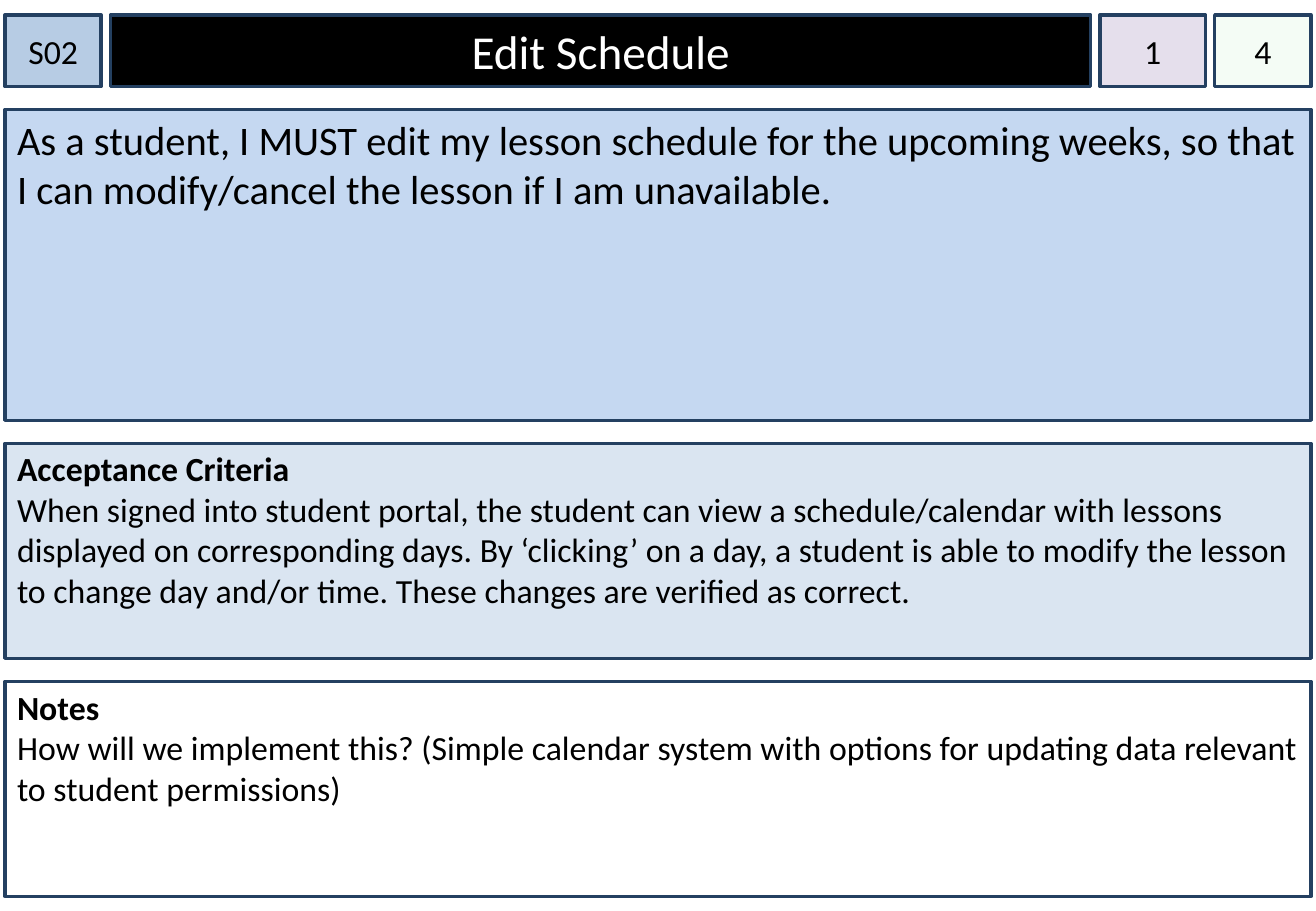
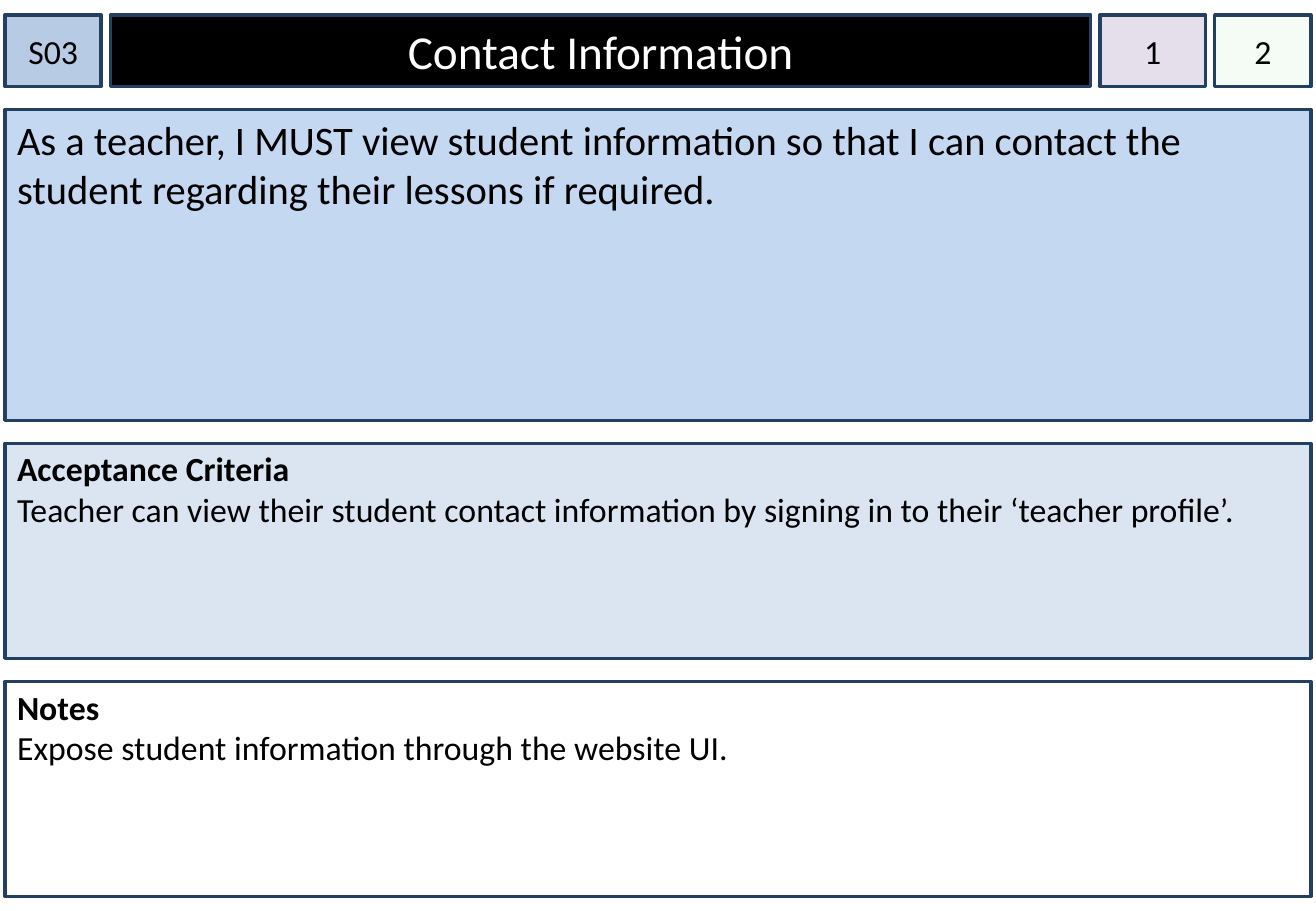
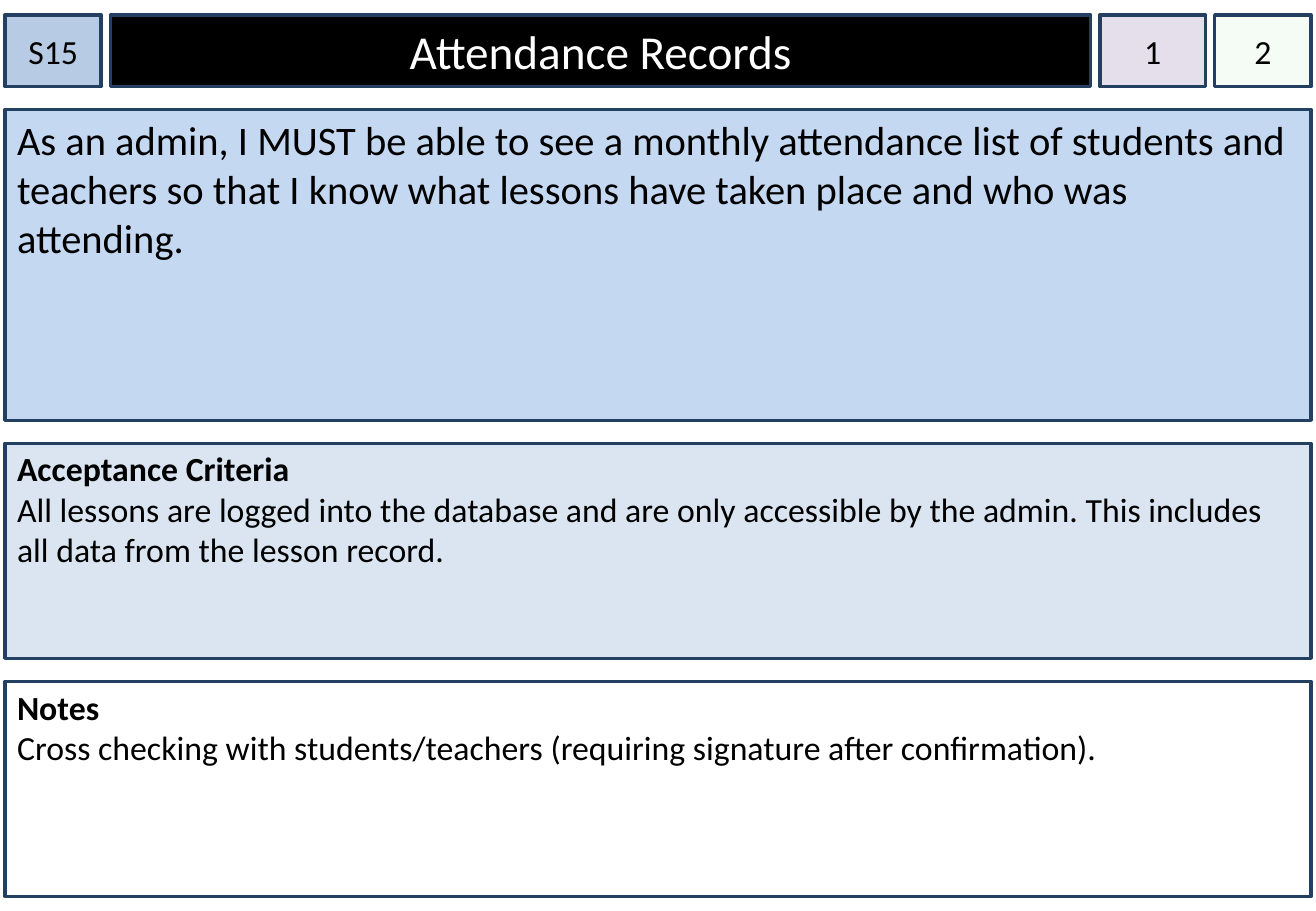
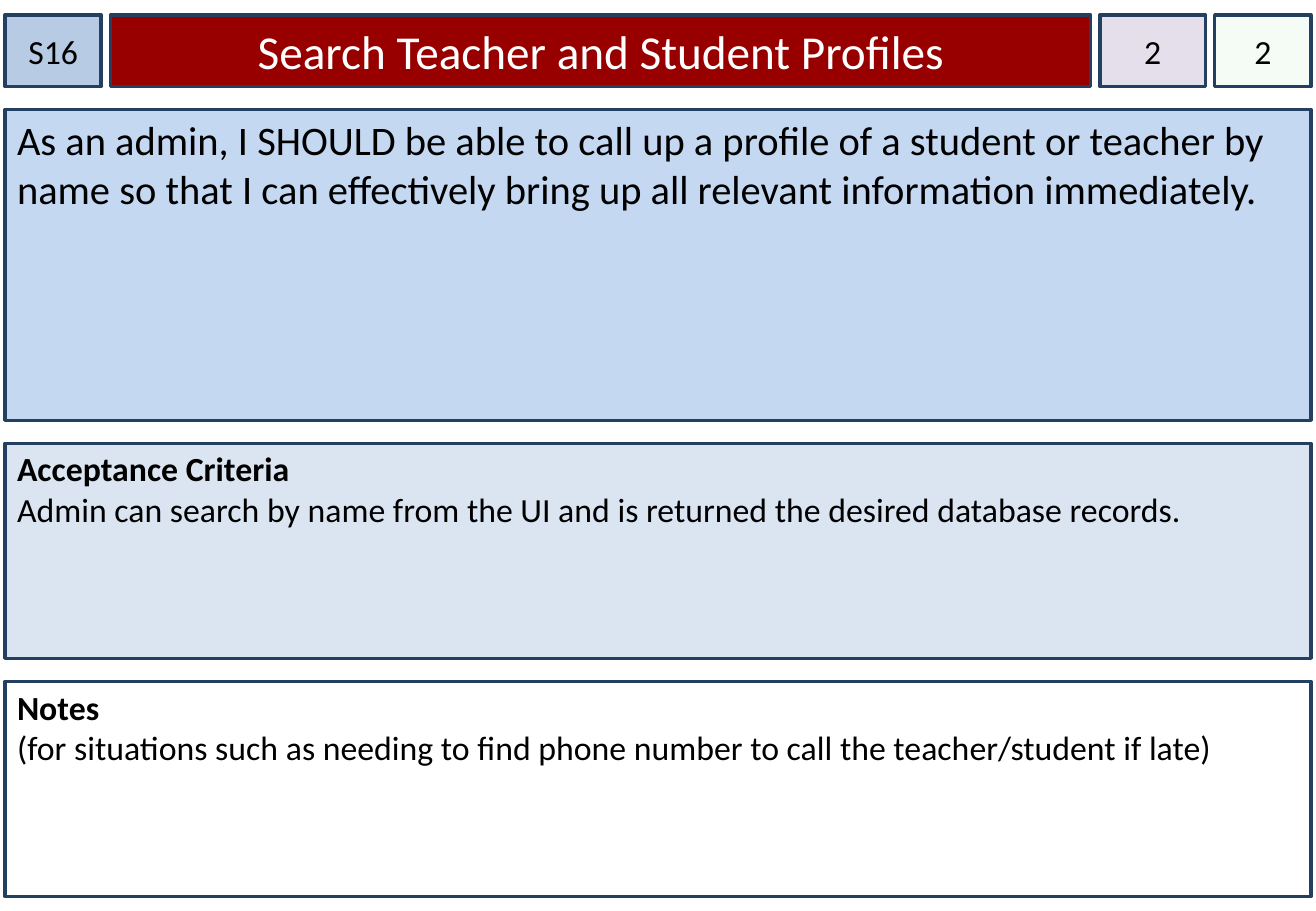
from pptx import Presentation
from pptx.dml.color import RGBColor
from pptx.enum import shapes, text
from pptx.oxml.ns import qn
from pptx.util import Pt
from lxml import etree

# Shared style
FONT = "Calibri"
BLACK, WHITE, OUTLINE = "000000", "FFFFFF", "244061"
ID_FILL, PRIORITY_FILL, ESTIMATE_FILL = "B7CCE4", "E5DFEC", "CCF0CD"
STORY_FILL, CRITERIA_FILL = "C5D8F1", "DAE5F1"
MUST, SHOULD = BLACK, "980000"

# Card layout, in points
SLIDE_W, SLIDE_H = 780, 540
CARD_LEFT, CARD_TOP, CARD_W = 3, 8.8, 774
ROW_HEIGHTS, ROW_GAP = (42.5, 184.3, 127.5, 127.5), 13.6
HEADER_WIDTHS = (57, 581, 62.5, 57)

# id, title, title fill, priority, estimate, story, criteria, notes
STORIES = [
    ("S02", "Edit Schedule", MUST, "1", "4",
     "As a student, I MUST edit my lesson schedule for the upcoming weeks, "
     "so that I can modify/cancel the lesson if I am unavailable.",
     "When signed into student portal, the student can view a schedule/calendar "
     "with lessons displayed on corresponding days. By ‘clicking’ on a day, a "
     "student is able to modify the lesson to change day and/or time. These "
     "changes are verified as correct.",
     "How will we implement this? (Simple calendar system with options for "
     "updating data relevant to student permissions)"),
    ("S03", "Contact Information", MUST, "1", "2",
     "As a teacher, I MUST view student information so that I can contact the "
     "student regarding their lessons if required.",
     "Teacher can view their student contact information by signing in to their "
     "‘teacher profile’.",
     "Expose student information through the website UI."),
    ("S15", "Attendance Records", MUST, "1", "2",
     "As an admin, I MUST be able to see a monthly attendance list of students "
     "and teachers so that I know what lessons have taken place and who was "
     "attending.",
     "All lessons are logged into the database and are only accessible by the "
     "admin. This includes all data from the lesson record.",
     "Cross checking with students/teachers (requiring signature after "
     "confirmation)."),
    ("S16", "Search Teacher and Student Profiles", SHOULD, "2", "2",
     "As an admin, I SHOULD be able to call up a profile of a student or teacher "
     "by name so that I can effectively bring up all relevant information "
     "immediately.",
     "Admin can search by name from the UI and is returned the desired database "
     "records.",
     "(for situations such as needing to find phone number to call the "
     "teacher/student if late)"),
]


def rgb(color):
    return RGBColor.from_string(color)


def spread(start, sizes, gap):
    """Yield (position, size) for items laid end to end with equal gaps."""
    for size in sizes:
        yield start, size
        start += size + gap


def add_box(s, box, fill, lines, size, color=BLACK, centred=False,
            heading=False, side=7.2, top=3.6):
    """Add an outlined rectangle with one paragraph for each line."""
    sp = s.shapes.add_shape(shapes.MSO_SHAPE.RECTANGLE, *map(Pt, box))
    sp.shadow.inherit = False
    sp.fill.solid()
    sp.fill.fore_color.rgb = rgb(fill)
    sp.line.color.rgb = rgb(OUTLINE)
    sp.line.width = Pt(2)
    tf = sp.text_frame
    tf.word_wrap = True
    tf.margin_left = tf.margin_right = Pt(side)
    tf.margin_top, tf.margin_bottom = Pt(top), Pt(3.6)
    tf.vertical_anchor = (text.MSO_ANCHOR.MIDDLE if centred
                          else text.MSO_ANCHOR.TOP)
    tf.text = "\n".join(lines)
    for i, p in enumerate(tf.paragraphs):
        p.alignment = text.PP_ALIGN.CENTER if centred else text.PP_ALIGN.LEFT
        for r in p.runs:
            r.font.name, r.font.size = FONT, Pt(size)
            r.font.color.rgb = rgb(color)
            r.font.bold = heading and i == 0
    return sp


def set_opacity(sp, percent):
    clr = sp.fill._xPr.find(qn("a:solidFill"))[0]
    etree.SubElement(clr, qn("a:alpha")).set("val", str(percent * 1000))


def add_header(s, box, story_id, title, title_fill, priority, estimate):
    """Row of id, title, priority and estimate."""
    x, y, w, h = box
    gap = (w - sum(HEADER_WIDTHS)) / (len(HEADER_WIDTHS) - 1)
    id_box, title_box, priority_box, estimate_box = (
        (left, y, width, h) for left, width in spread(x, HEADER_WIDTHS, gap))
    add_box(s, id_box, ID_FILL, [story_id], 20, centred=True, side=0)
    add_box(s, title_box, title_fill, [title], 28, WHITE, centred=True)
    add_box(s, priority_box, PRIORITY_FILL, [priority], 20, centred=True, side=0)
    sp = add_box(s, estimate_box, ESTIMATE_FILL, [estimate], 20,
                 centred=True, side=0)
    set_opacity(sp, 20)


def add_section(s, box, fill, heading, body):
    """Panel with a bold heading above its text."""
    add_box(s, box, fill, [heading, body], 20, heading=True, top=2.9)


def add_card(prs, story):
    """One slide for one user story."""
    s = prs.slides.add_slide(prs.slide_layouts[6])
    *header, want, criteria, notes = story
    header_box, story_box, criteria_box, notes_box = (
        (CARD_LEFT, top, CARD_W, height)
        for top, height in spread(CARD_TOP, ROW_HEIGHTS, ROW_GAP))
    add_header(s, header_box, *header)
    add_box(s, story_box, STORY_FILL, [want], 24)
    add_section(s, criteria_box, CRITERIA_FILL, "Acceptance Criteria", criteria)
    add_section(s, notes_box, WHITE, "Notes", notes)


def main():
    prs = Presentation()
    prs.slide_width, prs.slide_height = Pt(SLIDE_W), Pt(SLIDE_H)
    for story in STORIES:
        add_card(prs, story)
    prs.save("out.pptx")


if __name__ == "__main__":
    main()
